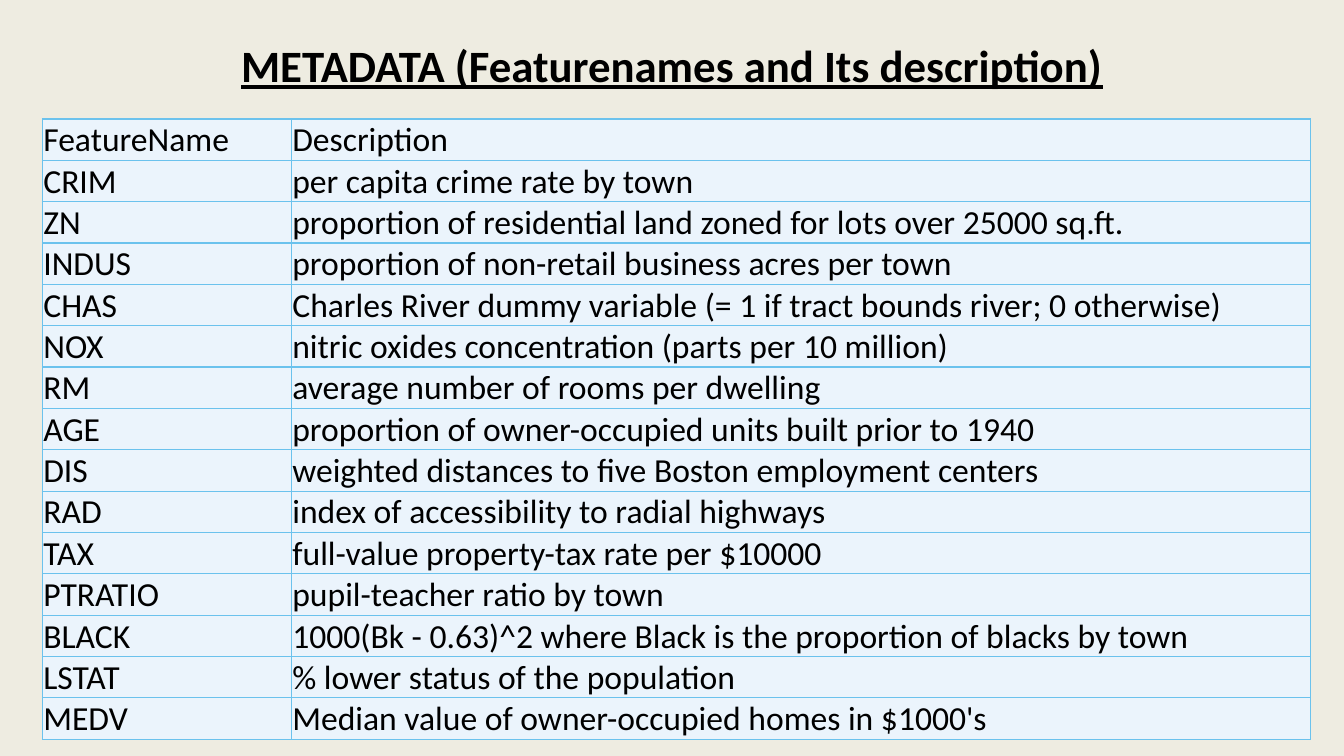
from dataclasses import dataclass
from typing import NamedTuple

from lxml.etree import SubElement
from pptx import Presentation
from pptx.dml.color import RGBColor
from pptx.enum.text import MSO_ANCHOR, PP_ALIGN
from pptx.oxml.ns import qn
from pptx.slide import Slide
from pptx.table import _Cell
from pptx.text.text import Font
from pptx.util import Inches, Pt


@dataclass(frozen=True)
class Theme:
    """Colours, type and line sizes of the slide."""

    font: str = "Calibri"
    back: str = "EEECE1"
    ink: str = "000000"
    fill: str = "EBF4FC"
    edge: str = "6BC2ED"
    head: int = 32
    body: int = 24
    line: int = 1


class Feature(NamedTuple):
    """One row of the table."""

    name: str
    text: str


THEME = Theme()
TITLE = "METADATA (Featurenames and Its description)"
WIDTHS = (2.47, 10.11)
HEIGHT = 0.41
ROWS = [
    Feature("FeatureName", "Description"),
    Feature("CRIM", "per capita crime rate by town"),
    Feature("ZN", "proportion of residential land zoned for lots over 25000 sq.ft."),
    Feature("INDUS", "proportion of non-retail business acres per town"),
    Feature("CHAS", "Charles River dummy variable (= 1 if tract bounds river; 0 otherwise)"),
    Feature("NOX", "nitric oxides concentration (parts per 10 million)"),
    Feature("RM", "average number of rooms per dwelling"),
    Feature("AGE", "proportion of owner-occupied units built prior to 1940"),
    Feature("DIS", "weighted distances to five Boston employment centers"),
    Feature("RAD", "index of accessibility to radial highways"),
    Feature("TAX", "full-value property-tax rate per $10000"),
    Feature("PTRATIO", "pupil-teacher ratio by town"),
    Feature("BLACK", "1000(Bk - 0.63)^2 where Black is the proportion of blacks by town"),
    Feature("LSTAT", "% lower status of the population"),
    Feature("MEDV", "Median value of owner-occupied homes in $1000's"),
]


def set_font(font: Font, size: int, strong: bool = False) -> None:
    """Apply the theme font, with bold and underline if strong."""
    font.name = THEME.font
    font.size = Pt(size)
    font.color.rgb = RGBColor.from_string(THEME.ink)
    font.bold = font.underline = strong


def add_title(slide: Slide) -> None:
    """Add the centred heading."""
    box = slide.shapes.add_textbox(Inches(2.25), Inches(0.25), Inches(8.83), Inches(0.78))
    frame = box.text_frame
    frame.word_wrap = True
    frame.vertical_anchor = MSO_ANCHOR.MIDDLE
    frame.text = TITLE
    para = frame.paragraphs[0]
    para.alignment = PP_ALIGN.CENTER
    set_font(para.runs[0].font, THEME.head, True)


def add_edges(cell: _Cell) -> None:
    """Draw a line on each side of a cell."""
    props = cell._tc.get_or_add_tcPr()
    for side in "LRTB":
        line = SubElement(props, qn(f"a:ln{side}"), w=str(Pt(THEME.line)))
        fill = SubElement(line, qn("a:solidFill"))
        SubElement(fill, qn("a:srgbClr"), val=THEME.edge)


def fill_cell(cell: _Cell, text: str) -> None:
    """Set the text and look of a cell."""
    cell.text_frame.text = text
    set_font(cell.text_frame.paragraphs[0].runs[0].font, THEME.body)
    cell.margin_left = cell.margin_right = cell.margin_top = Inches(0.01)
    cell.margin_bottom = Inches(0)
    cell.vertical_anchor = MSO_ANCHOR.BOTTOM
    add_edges(cell)
    cell.fill.solid()
    cell.fill.fore_color.rgb = RGBColor.from_string(THEME.fill)


def add_grid(slide: Slide) -> None:
    """Add the table of features."""
    table = slide.shapes.add_table(
        len(ROWS), len(WIDTHS), Inches(0.42), Inches(1.18),
        Inches(sum(WIDTHS)), Inches(HEIGHT * len(ROWS)),
    ).table
    for col, width in zip(table.columns, WIDTHS):
        col.width = Inches(width)
    for row, item in zip(table.rows, ROWS):
        row.height = Inches(HEIGHT)
        for cell, text in zip(row.cells, item):
            fill_cell(cell, text)


def main() -> None:
    """Build and save the slide."""
    deck = Presentation()
    deck.slide_width, deck.slide_height = Inches(13.33), Inches(7.5)
    slide = deck.slides.add_slide(deck.slide_layouts[6])
    back = slide.background.fill
    back.solid()
    back.fore_color.rgb = RGBColor.from_string(THEME.back)
    add_title(slide)
    add_grid(slide)
    deck.save("out.pptx")


if __name__ == "__main__":
    main()
